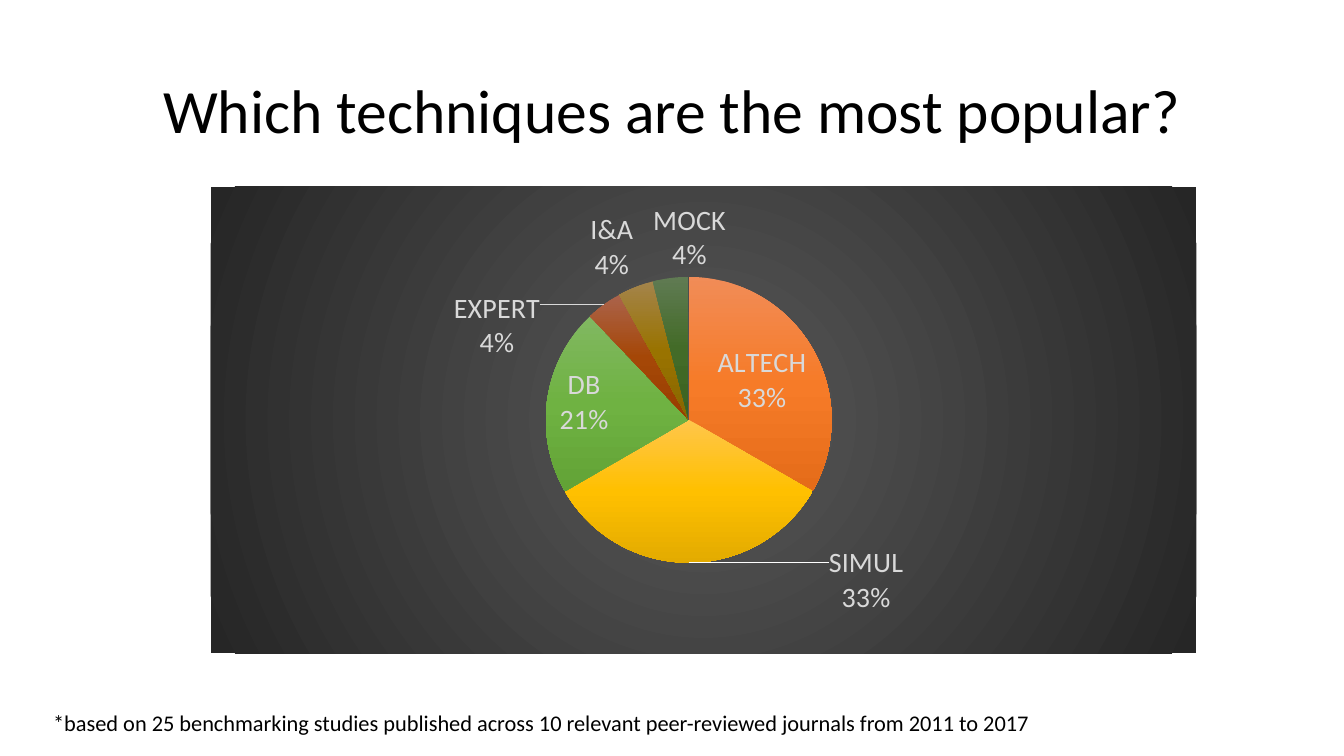
"""Build a slide with a pie chart of technique popularity."""
import dataclasses
import pptx
import pptx.chart.data
import pptx.dml.color
import pptx.enum.chart
import pptx.enum.text
import pptx.oxml
import pptx.oxml.ns
import pptx.util

Cm = pptx.util.Cm
Pt = pptx.util.Pt
FONT = "Calibri"
INK = {"text": "000000", "label": "D9D9D9", "inner": "595959", "outer": "262626", "back": "FFFFFF"}
SPACES = pptx.oxml.ns.nsdecls("a", "c")


@dataclasses.dataclass
class Slice:
    name: str
    value: int
    tones: tuple[str, str, str]


@dataclasses.dataclass
class Note:
    text: str
    box: tuple[float, float, float, float]
    size: int
    align: pptx.enum.text.PP_ALIGN
    anchor: pptx.enum.text.MSO_ANCHOR
    pitch: float


SLICES = [
    Slice("ALTECH", 33, ("F18C57", "F67B28", "E56C19")),
    Slice("SIMUL", 33, ("FFC64B", "FFC000", "E3AB00")),
    Slice("DB", 21, ("81B861", "6FB242", "62A336")),
    Slice("EXPERT", 4, ("AB634B", "A54707", "983E00")),
    Slice("I&A", 4, ("A4844B", "997300", "886600")),
    Slice("MOCK", 4, ("607B53", "436B28", "3B6220")),
]
NOTES = [
    Note("Which techniques are the most popular?", (2.34, 1.02, 29.21, 3.68), 44,
         pptx.enum.text.PP_ALIGN.CENTER, pptx.enum.text.MSO_ANCHOR.MIDDLE, 0.9),
    Note("*based on 25 benchmarking studies published across 10 relevant "
         "peer-reviewed journals from 2011 to 2017", (1.09, 17.75, 28.65, 0.94), 16,
         pptx.enum.text.PP_ALIGN.LEFT, pptx.enum.text.MSO_ANCHOR.TOP, 1.0),
]


def color(key: str) -> pptx.dml.color.RGBColor:
    return pptx.dml.color.RGBColor.from_string(INK[key])


def style(font, size: int, key: str) -> None:
    font.name = FONT
    font.size = Pt(size)
    font.color.rgb = color(key)


def node(xml: str):
    head, tail = xml.split(">", 1)
    close = "/" if head.endswith("/") else ""
    return pptx.oxml.parse_xml(f"{head.rstrip('/')} {SPACES}{close}>{tail}")


def blend(tones: tuple[str, ...], shade: str) -> str:
    step = 100000 // (len(tones) - 1)
    stops = "".join(f'<a:gs pos="{i * step}"><a:srgbClr val="{tone}"/></a:gs>'
                    for i, tone in enumerate(tones))
    return f"<a:gradFill><a:gsLst>{stops}</a:gsLst>{shade}</a:gradFill>"


def layout(mode: str, **parts: float) -> str:
    modes = "".join(f'<c:{key}Mode val="{mode}"/>' for key in ("x", "y")) if mode else ""
    sizes = "".join(f'<c:{key} val="{value}"/>' for key, value in parts.items())
    target = '<c:layoutTarget val="inner"/>' if mode else ""
    return f"<c:layout><c:manualLayout>{target}{modes}{sizes}</c:manualLayout></c:layout>"


def write(slide, note: Note) -> None:
    frame = slide.shapes.add_textbox(*map(Cm, note.box)).text_frame
    frame.word_wrap = True
    frame.vertical_anchor = note.anchor
    para = frame.paragraphs[0]
    para.alignment = note.align
    para.line_spacing = note.pitch
    run = para.add_run()
    run.text = note.text
    style(run.font, note.size, "text")


def label(chart) -> None:
    series = chart.plots[0].series[0]
    place = pptx.enum.chart.XL_LABEL_POSITION.BEST_FIT
    moved = series.points[1].data_label
    moved.position = place
    style(moved.font, 20, "label")
    labels = series.data_labels
    labels.position = place
    style(labels.font, 20, "label")
    root = chart._chartSpace
    shows = {"showVal": 0, "showCatName": 1, "showPercent": 1, "showSerName": 0, "showLegendKey": 0}
    for name, state in shows.items():
        for item in root.xpath(f".//c:ser//c:{name}"):
            item.set("val", str(state))
    for item in root.xpath(".//c:ser//c:showBubbleSize"):
        item.addnext(node("<c:separator>\n</c:separator>"))
    for item in root.xpath(".//c:dLbl/c:layout"):
        item.getparent().remove(item)
    root.xpath(".//c:dLbl/c:idx")[0].addnext(node(layout("", x=0.18, y=-0.05)))
    for item in root.xpath(".//c:ser/c:dLbls/c:showLeaderLines"):
        item.getparent().remove(item)
    group = root.xpath(".//c:ser/c:dLbls")[0]
    group.append(node('<c:showLeaderLines val="1"/>'))
    group.append(node('<c:leaderLines><c:spPr><a:ln w="9525"><a:solidFill>'
                      f'<a:srgbClr val="{INK["back"]}"/></a:solidFill></a:ln></c:spPr></c:leaderLines>'))


def draw(slide) -> None:
    data = pptx.chart.data.CategoryChartData()
    data.categories = [part.name for part in SLICES]
    data.add_series("Series 1", [part.value for part in SLICES])
    chart = slide.shapes.add_chart(pptx.enum.chart.XL_CHART_TYPE.PIE, Cm(5.31), Cm(4.7),
                                   Cm(24.84), Cm(11.76), data).chart
    chart.has_legend = False
    chart.has_title = False
    style(chart.font, 10, "text")
    root = chart._chartSpace
    points = chart.plots[0].series[0].points
    for i, part in enumerate(SLICES):
        points[i].format.line.fill.background()
        shape = root.xpath(f'.//c:dPt[c:idx/@val="{i}"]/c:spPr')[0]
        shape.insert(0, node(blend(part.tones, '<a:lin ang="5400000" scaled="0"/>')))
    label(chart)
    plot = root.xpath(".//c:plotArea")[0]
    for item in plot.xpath("./c:layout"):
        plot.remove(item)
    plot.insert(0, node(layout("edge", x=0.34, y=0.19, w=0.29, h=0.62)))
    shade = ('<a:path path="circle"><a:fillToRect l="50000" t="50000" r="50000" b="50000"/></a:path>')
    fill = blend((INK["inner"], INK["outer"]), shade)
    root.xpath("./c:txPr")[0].addprevious(
        node(f"<c:spPr>{fill}<a:ln><a:noFill/></a:ln></c:spPr>"))


def main() -> None:
    deck = pptx.Presentation()
    deck.slide_width = Cm(33.87)
    deck.slide_height = Cm(19.05)
    slide = deck.slides.add_slide(deck.slide_layouts[6])
    slide.background.fill.solid()
    slide.background.fill.fore_color.rgb = color("back")
    for note in NOTES:
        write(slide, note)
    draw(slide)
    deck.save("out.pptx")


if __name__ == "__main__":
    main()
